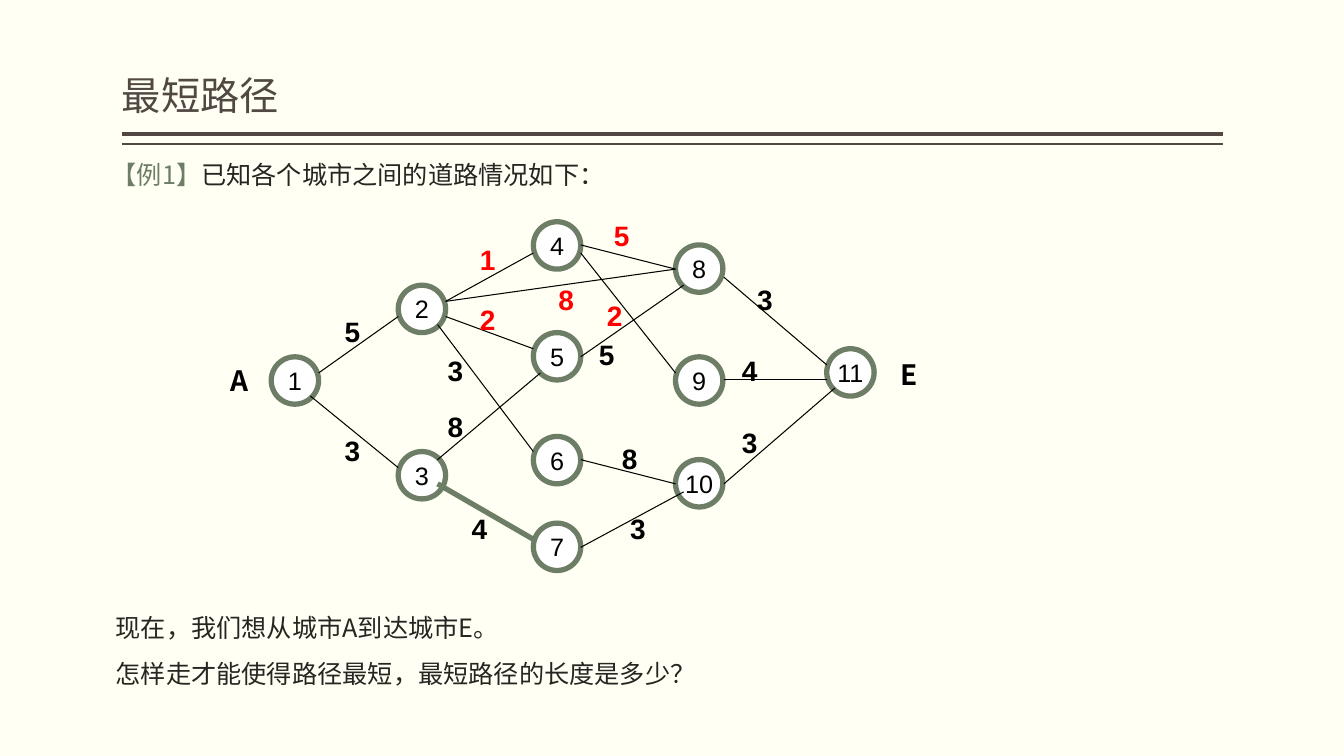
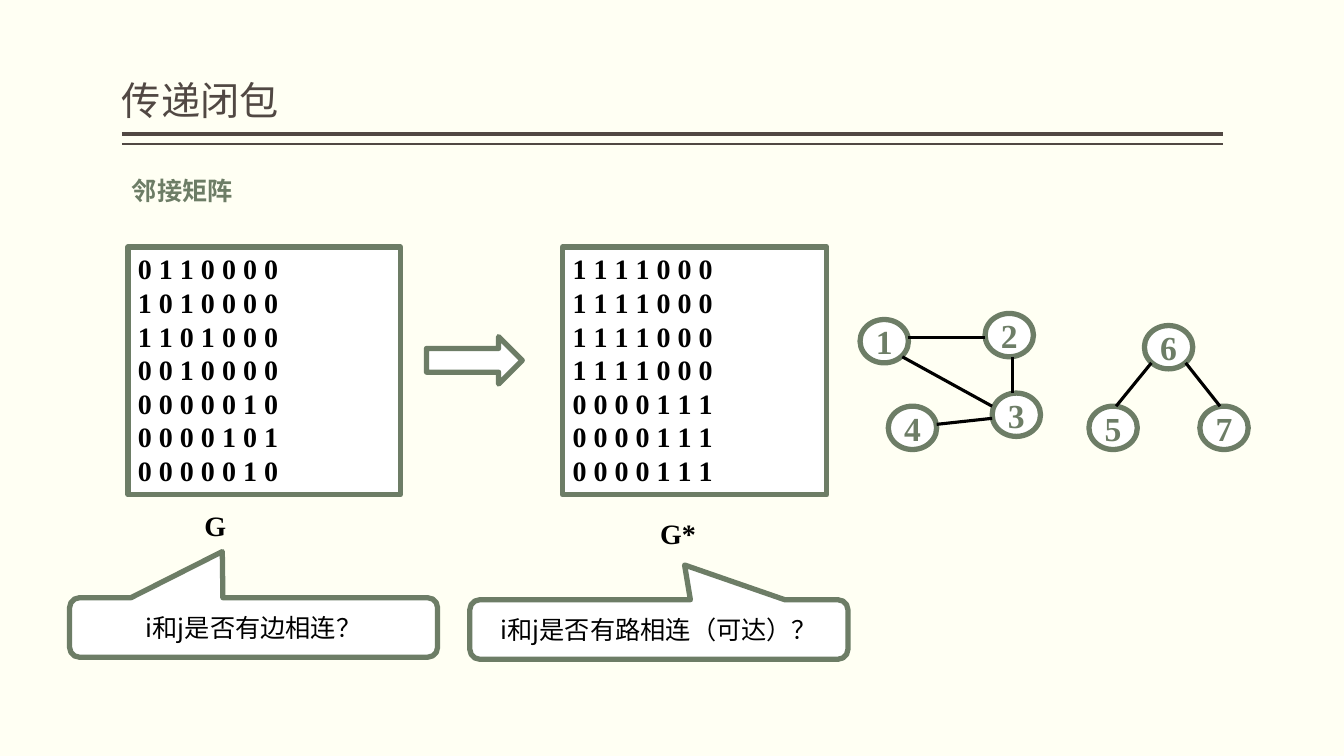
"""Build two slides on shortest paths and transitive closure."""
import pptx
import pptx.util
import pptx.dml.color
import pptx.enum.shapes
import pptx.enum.text
import pptx.oxml.ns
from lxml import etree

Inches, Pt = pptx.util.Inches, pptx.util.Pt
rgb = pptx.dml.color.RGBColor.from_string
SHAPE = pptx.enum.shapes.MSO_SHAPE
ANCHOR = pptx.enum.text.MSO_ANCHOR
ALIGN = pptx.enum.text.PP_ALIGN
qn = pptx.oxml.ns.qn

CREAM, BROWN, GREEN, INK = "FFFFF3", "514843", "6D7D66", "282422"
BLACK, WHITE, RED = "000000", "FFFFFF", "FF0000"
SANS, ARIAL, TIMES = "Noto Sans CJK SC", "Arial", "Times New Roman"
OUTLINE = 3.78


def style(sp, paras, size, font, bold=False, framed=False, centred=False):
    """Frame a shape and fill it with paragraphs of (text, colour) runs."""
    if framed:
        sp.shadow.inherit = False
        sp.fill.solid()
        sp.fill.fore_color.rgb = rgb(WHITE)
        sp.line.color.rgb = rgb(GREEN)
        sp.line.width = Pt(OUTLINE)
    tf = sp.text_frame
    tf.word_wrap = not centred
    tf.vertical_anchor = ANCHOR.MIDDLE if centred else ANCHOR.TOP
    for i, runs in enumerate(paras):
        p = tf.add_paragraph() if i else tf.paragraphs[0]
        p.alignment = ALIGN.CENTER if centred else ALIGN.LEFT
        for text, color in runs:
            r = p.add_run()
            r.text = text
            r.font.name = font
            r.font.size = Pt(size)
            r.font.bold = bold
            r.font.color.rgb = rgb(color)
            etree.SubElement(r.font._element, qn("a:ea"), typeface=SANS)


def line(s, x1, y1, x2, y2, color, width):
    """Draw a straight line without a shadow."""
    c = s.shapes.add_connector(
        pptx.enum.shapes.MSO_CONNECTOR.STRAIGHT,
        Inches(x1), Inches(y1), Inches(x2), Inches(y2))
    c.line.color.rgb = rgb(color)
    c.line.width = Pt(width)
    etree.SubElement(c._element.spPr, qn("a:effectLst"))


prs = pptx.Presentation()
prs.slide_width, prs.slide_height = Inches(13.33), Inches(7.5)
bg = prs.slide_master.background.fill
bg.solid()
bg.fore_color.rgb = rgb(CREAM)

for title, top in [("最短路径", 0.03), ("传递闭包", 0.08)]:
    s = prs.slides.add_slide(prs.slide_layouts[5])
    for y, width in [(1.33, 3), (1.43, 1)]:
        line(s, 1.21, y, 12.13, y, BROWN, width)
    sp = s.shapes.title
    sp.left, sp.top = Inches(1.21), Inches(top)
    sp.width, sp.height = Inches(10.92), Inches(1.2)
    style(sp, [[(title, BROWN)]], 28, SANS)
    tf = sp.text_frame
    tf.auto_size = pptx.enum.text.MSO_AUTO_SIZE.NONE
    tf.vertical_anchor = ANCHOR.BOTTOM
    tf.margin_left = tf.margin_right = 0
    tf.paragraphs[0].line_spacing = 0.9

path_slide, closure_slide = prs.slides

s = path_slide
sp = s.shapes.add_textbox(Inches(1.01), Inches(1.53), Inches(6.3), Inches(0.4))
style(sp, [[("【例1】", GREEN), ("已知各个城市之间的道路情况如下：", INK)]], 18, SANS)
sp = s.shapes.add_textbox(Inches(1.05), Inches(5.88), Inches(8), Inches(0.96))
style(sp, [[("现在，我们想从城市A到达城市E。", INK)],
           [("怎样走才能使得路径最短，最短路径的长度是多少？", INK)]], 18, SANS)
for p in sp.text_frame.paragraphs:
    p.line_spacing = 1.5

columns = [
    (2.69, [3.54]),
    (3.95, [2.83, 4.48]),
    (5.29, [2.2, 3.3, 4.33, 5.19]),
    (6.7, [2.43, 3.54, 4.56]),
    (8.2, [3.46]),
]
cities = [(x, y) for x, tops in columns for y in tops]
for n, (x, y) in enumerate(cities, 1):
    sp = s.shapes.add_shape(SHAPE.OVAL, Inches(x), Inches(y), Inches(0.47), Inches(0.47))
    style(sp, [[(str(n), BLACK)]], 18, ARIAL, framed=True, centred=True)

roads = [
    (3.16, 3.7, 3.95, 3.14, "5", 3.32, 3.07, BLACK),
    (3.08, 3.93, 3.95, 4.64, "3", 3.32, 4.25, BLACK),
    (4.42, 2.99, 5.29, 2.51, "1", 4.66, 2.36, RED),
    (4.42, 3.14, 5.29, 3.46, "2", 4.66, 2.95, RED),
    (4.34, 3.22, 5.29, 4.48, "3", 4.34, 3.46, BLACK),
    (4.34, 4.56, 5.36, 3.7, "8", 4.34, 4.01, BLACK),
    (4.34, 4.8, 5.29, 5.35, "4", 4.58, 5.03, BLACK),
    (5.76, 2.43, 6.7, 2.67, "5", 5.99, 2.12, RED),
    (5.76, 2.51, 6.7, 3.7, "2", 5.92, 2.91, RED),
    (5.76, 3.54, 6.78, 2.83, "5", 5.84, 3.3, BLACK),
    (5.76, 4.56, 6.7, 4.8, "8", 6.07, 4.33, BLACK),
    (5.76, 5.43, 6.78, 4.88, "3", 6.15, 5.03, BLACK),
    (7.18, 2.75, 8.2, 3.62, "3", 7.41, 2.75, BLACK),
    (7.18, 3.77, 8.2, 3.77, "4", 7.26, 3.46, BLACK),
    (7.18, 4.8, 8.28, 3.85, "3", 7.26, 4.17, BLACK),
    (4.42, 2.99, 6.7, 2.67, "8", 5.44, 2.75, RED),
]
thick_road = (4.34, 4.8)
for x1, y1, x2, y2, length, x, y, color in roads:
    pen = (GREEN, OUTLINE) if (x1, y1) == thick_road else (BLACK, 0.75)
    line(s, x1, y1, x2, y2, *pen)
    sp = s.shapes.add_textbox(Inches(x), Inches(y), Inches(0.39), Inches(0.43))
    style(sp, [[(length, color)]], 20, ARIAL, bold=True)

for name, x, y in [("A", 2.19, 3.56), ("E", 8.83, 3.5)]:
    sp = s.shapes.add_textbox(Inches(x), Inches(y), Inches(0.34), Inches(0.43))
    style(sp, [[(name, BLACK)]], 20, SANS, bold=True)
    sp.text_frame.word_wrap = False

s = closure_slide
sp = s.shapes.add_textbox(Inches(1.21), Inches(1.69), Inches(2.23), Inches(0.4))
style(sp, [[("邻接矩阵", GREEN)]], 18, TIMES, bold=True)

adjacency = ["0110000", "1010000", "1101000", "0010000", "0000010", "0000101", "0000010"]
closure = ["1111000"] * 4 + ["0000111"] * 3
for rows, x, width in [(adjacency, 1.27, 2.7), (closure, 5.58, 2.62)]:
    sp = s.shapes.add_shape(SHAPE.RECTANGLE, Inches(x), Inches(2.45), Inches(width), Inches(2.46))
    style(sp, [[(" ".join(row), BLACK)] for row in rows], 20, TIMES, bold=True, framed=True)

sp = s.shapes.add_shape(SHAPE.RIGHT_ARROW, Inches(4.23), Inches(3.34), Inches(0.95), Inches(0.47))
style(sp, [], 18, TIMES, framed=True)

for name, x, y in [("G", 1.93, 5), ("G*", 6.45, 5.08)]:
    sp = s.shapes.add_textbox(Inches(x), Inches(y), Inches(0.87), Inches(0.44))
    style(sp, [[(name, BLACK)]], 20, TIMES, bold=True)

callouts = [
    ("i和j是否有边相连？", 0.69, 5.93, 3.65, -0.085, -1.276),
    ("i和j是否有路相连（可达）？", 4.66, 5.95, 3.75, 0.068, -1.085),
]
for text, x, y, width, tip_x, tip_y in callouts:
    sp = s.shapes.add_shape(SHAPE.ROUNDED_RECTANGULAR_CALLOUT,
                            Inches(x), Inches(y), Inches(width), Inches(0.59))
    sp.adjustments[0], sp.adjustments[1] = tip_x, tip_y
    style(sp, [[(text, BLACK)]], 18, SANS, framed=True, centred=True)

vertices = [(8.53, 3.17), (9.77, 3.11), (9.84, 3.9), (8.81, 4.03),
            (10.8, 4.03), (11.35, 3.23), (11.9, 4.03)]
for n, (x, y) in enumerate(vertices, 1):
    sp = s.shapes.add_shape(SHAPE.OVAL, Inches(x), Inches(y), Inches(0.48), Inches(0.43))
    style(sp, [[(str(n), GREEN)]], 24, TIMES, bold=True, framed=True, centred=True)

edges = [
    (9.01, 3.35, 9.77, 3.35),
    (8.95, 3.54, 9.84, 4.03),
    (10.04, 3.9, 10.04, 3.54),
    (9.29, 4.21, 9.84, 4.15),
    (11.07, 4.03, 11.42, 3.6),
    (12.1, 4.03, 11.76, 3.6),
]
for edge in edges:
    line(s, *edge, BLACK, 2.25)

prs.save("out.pptx")
